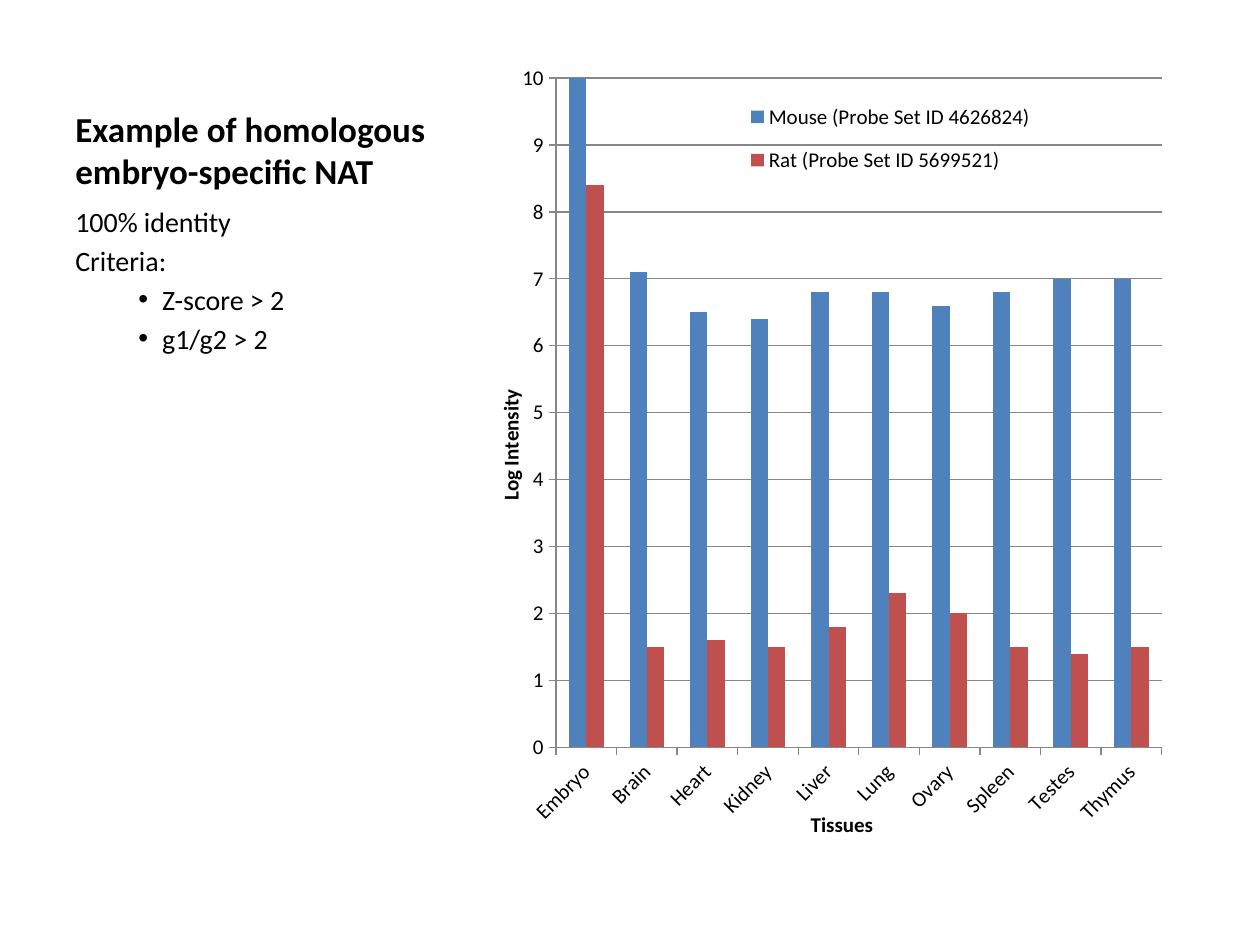
from lxml import etree
from pptx import Presentation
from pptx.chart.data import CategoryChartData
from pptx.dml.color import RGBColor
from pptx.enum.chart import XL_CHART_TYPE as ChartType
from pptx.enum.chart import XL_LEGEND_POSITION as LegendPosition
from pptx.enum.chart import XL_TICK_MARK as TickMark
from pptx.enum.text import MSO_ANCHOR as Anchor
from pptx.oxml.ns import qn
from pptx.util import Cm, Pt

BLACK = RGBColor(0x00, 0x00, 0x00)
GRAY = RGBColor(0x87, 0x87, 0x87)
BLUE = RGBColor(0x4F, 0x81, 0xBD)
RED = RGBColor(0xC0, 0x50, 0x4D)

TISSUES = ["Embryo", "Brain", "Heart", "Kidney", "Liver",
           "Lung", "Ovary", "Spleen", "Testes", "Thymus"]
SERIES = [
    ("Mouse (Probe Set ID 4626824)", BLUE,
     [10, 7.1, 6.5, 6.4, 6.8, 6.8, 6.6, 6.8, 7, 7]),
    ("Rat (Probe Set ID 5699521)", RED,
     [8.4, 1.5, 1.6, 1.5, 1.8, 2.3, 2, 1.5, 1.4, 1.5]),
]


def style_font(font, size, bold=False):
    font.name = "Calibri"
    font.size = Pt(size)
    font.bold = bold
    font.color.rgb = BLACK


def write_text(paragraph, text, size=16, bold=False, before=0, bullet=False):
    run = paragraph.add_run()
    run.text = text
    style_font(run.font, size, bold)
    paragraph.space_before = Pt(before)
    if bullet:
        properties = paragraph._p.get_or_add_pPr()
        properties.set("marL", str(Cm(1.75)))
        properties.set("indent", str(Cm(-0.48)))
        etree.SubElement(properties, qn("a:buFont")).set("typeface", "Arial")
        etree.SubElement(properties, qn("a:buChar")).set("char", "•")


def set_layout(parent, position, inner=False, **box):
    """Place a chart part by fractions of the chart area."""
    for old in parent.findall(qn("c:layout")):
        parent.remove(old)
    layout = etree.Element(qn("c:layout"))
    manual = etree.SubElement(layout, qn("c:manualLayout"))
    values = {"xMode": "edge", "yMode": "edge", **box}
    if inner:
        values = {"layoutTarget": "inner", **values}
    for name, value in values.items():
        etree.SubElement(manual, qn("c:" + name)).set("val", str(value))
    parent.insert(position, layout)


class SlideBuilder:
    def __init__(self, presentation):
        self.slide = presentation.slides.add_slide(presentation.slide_layouts[6])

    def text_box(self, left, top, width, height, lines, anchor=Anchor.TOP):
        shape = self.slide.shapes.add_textbox(
            Cm(left), Cm(top), Cm(width), Cm(height))
        frame = shape.text_frame
        frame.word_wrap = True
        frame.vertical_anchor = anchor
        for index, (text, style) in enumerate(lines):
            paragraph = frame.add_paragraph() if index else frame.paragraphs[0]
            write_text(paragraph, text, **style)

    def axis(self, axis, title, label_angle, title_angle):
        axis.has_title = True
        frame = axis.axis_title.text_frame
        write_text(frame.paragraphs[0], title, size=12, bold=True)
        frame._txBody.bodyPr.set("rot", str(title_angle * 60000))
        style_font(axis.tick_labels.font, 12)
        body = axis._element.find(qn("c:txPr")).find(qn("a:bodyPr"))
        body.set("rot", str(label_angle * 60000))
        axis.major_tick_mark = TickMark.OUTSIDE
        axis.minor_tick_mark = TickMark.NONE
        axis.format.line.color.rgb = GRAY
        axis.format.line.width = Pt(0.75)

    def column_chart(self, left, top, width, height, categories, series):
        data = CategoryChartData(number_format="General")
        data.categories = categories
        for name, _, values in series:
            data.add_series(name, values)
        chart = self.slide.shapes.add_chart(
            ChartType.COLUMN_CLUSTERED, Cm(left), Cm(top),
            Cm(width), Cm(height), data).chart
        chart.has_title = False
        style_font(chart.font, 10)

        # Columns
        plot = chart.plots[0]
        plot.gap_width = 150
        plot.overlap = 0
        plot.vary_by_categories = False
        for column, (_, color, _) in zip(plot.series, series):
            column.format.fill.solid()
            column.format.fill.fore_color.rgb = color
        set_layout(chart._chartSpace.chart.plotArea, 0, inner=True,
                   x=0.09, y=0.05, w=0.86, h=0.83)

        # Axes
        self.axis(chart.category_axis, "Tissues", -45, 0)
        value_axis = chart.value_axis
        self.axis(value_axis, "Log Intensity", 0, -90)
        value_axis.minimum_scale = 0
        value_axis.maximum_scale = 10
        value_axis.major_unit = 1
        value_axis.has_major_gridlines = True
        value_axis.major_gridlines.format.line.color.rgb = GRAY
        value_axis.major_gridlines.format.line.width = Pt(0.75)

        # Legend over the upper part of the plot
        chart.has_legend = True
        legend = chart.legend
        legend.position = LegendPosition.RIGHT
        legend.include_in_layout = False
        style_font(legend.font, 12)
        set_layout(legend._element, 1, x=0.35, y=0.06, w=0.43, h=0.13)


presentation = Presentation()
presentation.slide_width = Cm(25.4)
presentation.slide_height = Cm(19.05)
builder = SlideBuilder(presentation)

# Title and criteria
builder.text_box(1.27, 0.76, 8.36, 3.23, [
    ("Example of homologous embryo-specific NAT", dict(size=20, bold=True)),
], anchor=Anchor.BOTTOM)
plain = dict(before=3.2)
bulleted = dict(before=3.2, bullet=True)
builder.text_box(1.27, 3.99, 8.36, 13.03, [
    ("100% identity", plain),
    ("Criteria:", plain),
    ("Z-score > 2", bulleted),
    ("g1/g2 > 2", bulleted),
])

# Intensity by tissue
builder.column_chart(9.93, 0.76, 14.2, 16.26, TISSUES, SERIES)

presentation.save("out.pptx")
